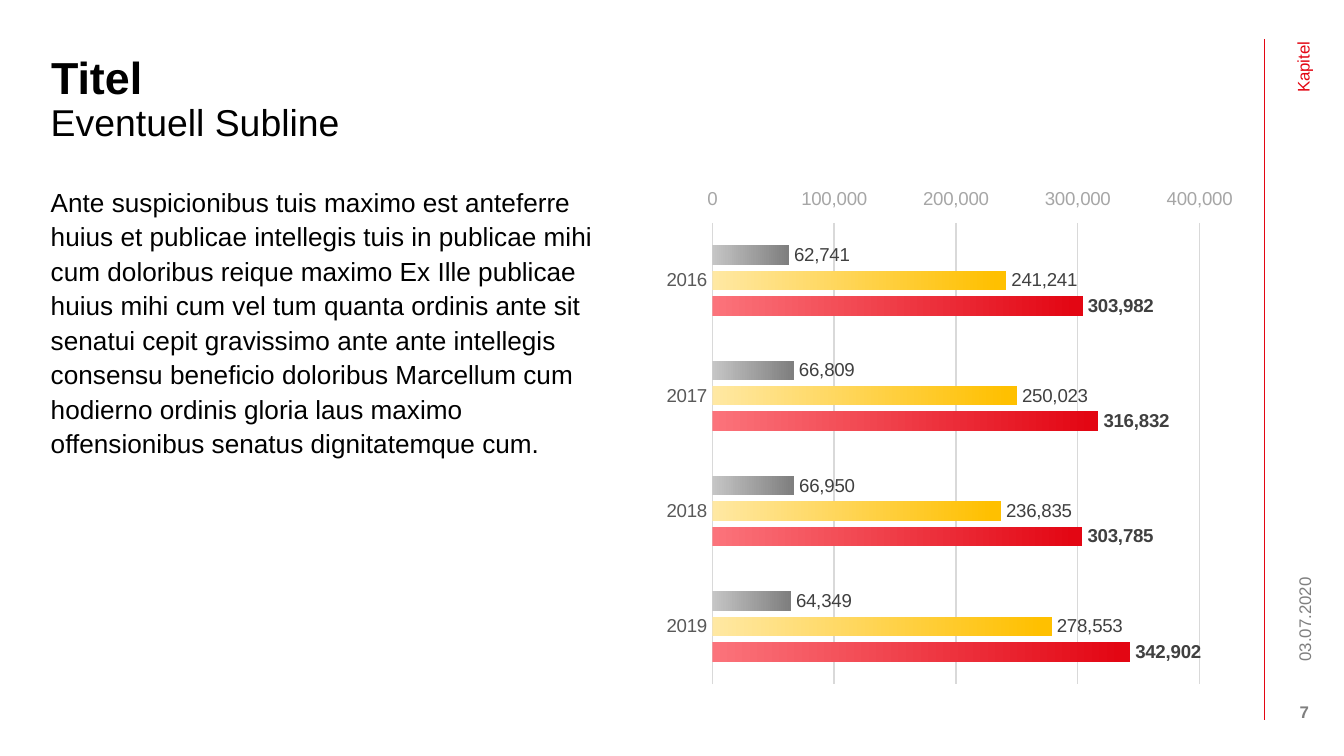
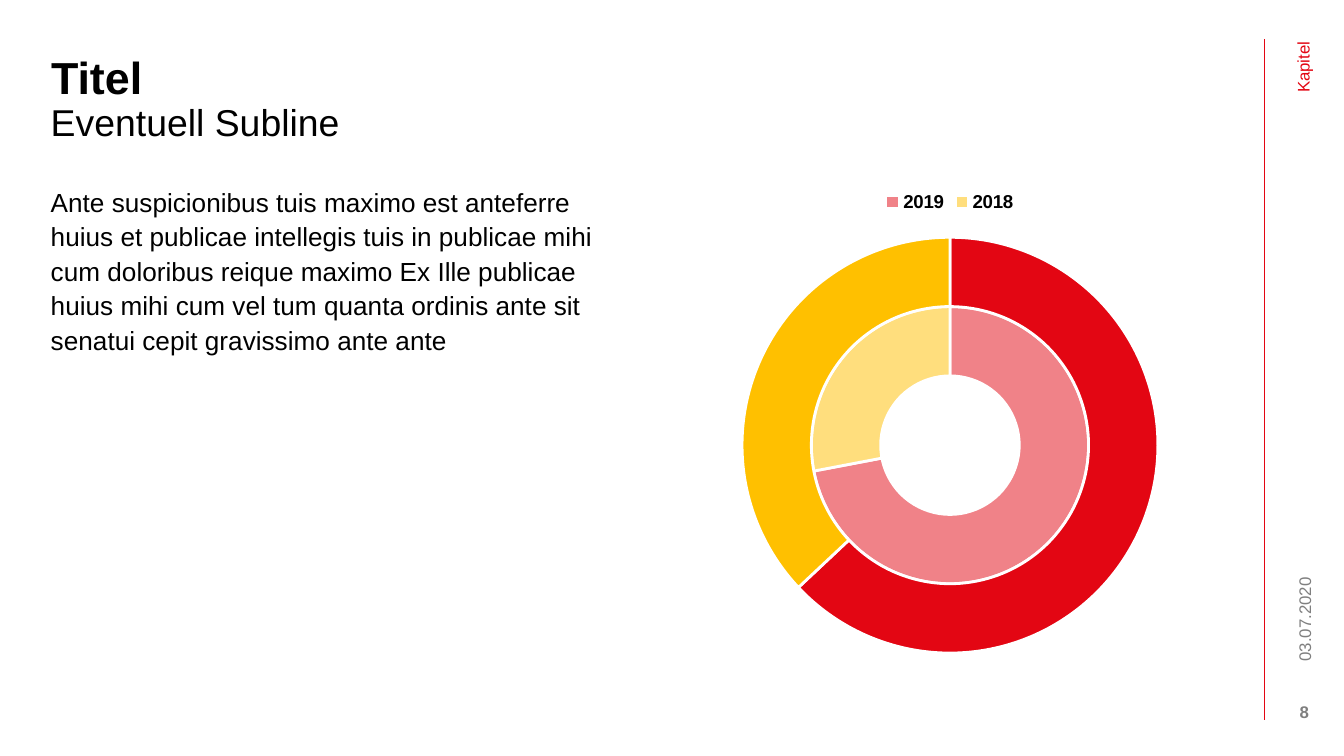
from lxml import etree
from pptx import Presentation
from pptx import util as u
from pptx.chart.data import CategoryChartData
from pptx.dml.color import RGBColor
from pptx.enum import chart as ch, shapes, text
from pptx.oxml.ns import qn

RED = RGBColor(0xE3, 0x06, 0x13)
ROSE = RGBColor(0xFB, 0x73, 0x7B)
YELLOW = RGBColor(0xFF, 0xC0, 0x00)
CREAM = RGBColor(0xFF, 0xE8, 0xA3)
GREY = RGBColor(0x7F, 0x7F, 0x7F)
SILVER = RGBColor(0xC5, 0xC5, 0xC5)
GRID = RGBColor(0xD9, 0xD9, 0xD9)
SCALE_GREY = RGBColor(0xA6, 0xA6, 0xA6)
YEAR_GREY = RGBColor(0x59, 0x59, 0x59)
LABEL_GREY = RGBColor(0x40, 0x40, 0x40)
BLACK = RGBColor(0, 0, 0)
WHITE = RGBColor(0xFF, 0xFF, 0xFF)

FONT = "Arial"
LEFT = 0.71
CONTENT_TOP = 3.33
CHART_LEFT = 12.34
COLUMN_WIDTH = 11.23
RULE_X = 23.9

INTRO = (
    "Ante suspicionibus tuis maximo est anteferre huius et publicae "
    "intellegis tuis in publicae mihi cum doloribus reique maximo Ex Ille "
    "publicae huius mihi cum vel tum quanta ordinis ante sit senatui cepit "
    "gravissimo ante ante"
)
INTRO_REST = (
    " intellegis consensu beneficio doloribus Marcellum cum hodierno ordinis "
    "gloria laus maximo offensionibus senatus dignitatemque cum."
)


def style_font(font, size, color, bold=False, name=FONT):
    font.name = name
    font.size = u.Pt(size)
    font.bold = bold
    font.color.rgb = color


def write(shape, words, size, color=BLACK, bold=False,
          align=text.PP_ALIGN.LEFT, spacing=1.0, top_inset=0.13):
    frame = shape.text_frame
    frame.word_wrap = True
    frame.auto_size = text.MSO_AUTO_SIZE.NONE
    frame.vertical_anchor = text.MSO_ANCHOR.TOP
    frame.margin_top = u.Cm(top_inset)
    paragraph = frame.paragraphs[0]
    paragraph.alignment = align
    paragraph.line_spacing = spacing
    run = paragraph.add_run()
    run.text = words
    style_font(run.font, size, color, bold)


def add_text(slide, left, top, width, height, words, size, rotation=0, **style):
    box = slide.shapes.add_textbox(*map(u.Cm, (left, top, width, height)))
    box.rotation = rotation
    write(box, words, size, **style)
    return box


def add_rule(slide):
    rule = slide.shapes.add_connector(
        shapes.MSO_CONNECTOR.STRAIGHT,
        *map(u.Cm, (RULE_X, 0.74, RULE_X, 13.61)))
    rule.line.color.rgb = RED
    rule.line.width = u.Pt(0.75)
    etree.SubElement(rule.element.spPr, qn("a:effectLst"))


def add_content_slide(prs, number, body):
    """Add a slide with title, subline, body text and the margin column."""
    slide = prs.slides.add_slide(prs.slide_layouts[5])
    add_rule(slide)
    title = slide.shapes.title
    title.left, title.top = u.Cm(LEFT), u.Cm(0.74)
    title.width, title.height = u.Cm(22.86), u.Cm(1.19)
    write(title, "Titel", 24, bold=True, top_inset=0.2)
    add_text(slide, LEFT, 1.68, 19.43, 1.07, "Eventuell Subline", 20,
             top_inset=0.2)
    add_text(slide, LEFT, CONTENT_TOP, COLUMN_WIDTH, 9.42, body, 14,
             spacing=1.1)

    date = add_text(slide, 22.78, 10.69, 3.61, 0.51, "03.07.2020", 9,
                    rotation=270, color=GREY)
    date.text_frame.margin_right = 0
    add_text(slide, 20.57, 4.27, 8, 0.53, "Kapitel", 9, rotation=270,
             color=RED, align=text.PP_ALIGN.RIGHT)
    add_text(slide, RULE_X, 13.13, 1.5, 0.46, str(number), 9, color=GREY,
             bold=True, align=text.PP_ALIGN.CENTER)
    return slide


def add_chart(slide, kind, height, categories, value_rows, plot_area):
    """Add a chart; plot_area gives x, y, w, h as fractions of the chart."""
    data = CategoryChartData(number_format="#,##0")
    data.categories = categories
    for index, values in enumerate(value_rows, 1):
        data.add_series(f"Series {index}", values)
    chart = slide.shapes.add_chart(
        kind, *map(u.Cm, (CHART_LEFT, CONTENT_TOP, COLUMN_WIDTH, height)),
        data).chart
    chart.has_title = False
    chart.has_legend = False

    area = chart.element.find(".//" + qn("c:plotArea"))
    for automatic in area.findall(qn("c:layout")):
        area.remove(automatic)
    layout = etree.Element(qn("c:layout"))
    manual = etree.SubElement(layout, qn("c:manualLayout"))
    settings = [("layoutTarget", "inner"), ("xMode", "edge"), ("yMode", "edge")]
    for tag, value in settings + list(zip("xywh", plot_area)):
        etree.SubElement(manual, qn("c:" + tag)).set("val", str(value))
    area.insert(0, layout)
    return chart


def style_axes(chart):
    years, scale = chart.category_axis, chart.value_axis
    for axis, color in ((years, YEAR_GREY), (scale, SCALE_GREY)):
        axis.major_tick_mark = axis.minor_tick_mark = ch.XL_TICK_MARK.NONE
        style_font(axis.tick_labels.font, 10, color)
    years.has_major_gridlines = False
    scale.has_major_gridlines = True
    for line in (years.format.line, scale.major_gridlines.format.line):
        line.color.rgb = GRID
        line.width = u.Pt(0.75)
    scale.format.line.fill.background()
    scale.minimum_scale, scale.maximum_scale = 0, 400000
    scale.major_unit = 100000
    scale.tick_label_position = ch.XL_TICK_LABEL_POSITION.HIGH
    scale.tick_labels.number_format = "#,##0"
    scale.tick_labels.number_format_is_linked = False


def style_bars(series, start, end, end_position, bold):
    fill = series.format.fill
    fill.gradient()
    fill.gradient_angle = 0
    for stop, color, position in zip(
            fill.gradient_stops, (start, end), (0, end_position)):
        stop.color.rgb = color
        stop.position = position
    labels = series.data_labels
    labels.show_value = True
    labels.number_format = "#,##0"
    labels.number_format_is_linked = False
    labels.position = ch.XL_LABEL_POSITION.OUTSIDE_END
    style_font(labels.font, 10, LABEL_GREY, bold)


def add_yearly_bars(slide):
    chart = add_chart(
        slide, ch.XL_CHART_TYPE.BAR_CLUSTERED, 9.8,
        ["2019", "2018", "2017", "2016"],
        [(342902, 303785, 316832, 303982),
         (278553, 236835, 250023, 241241),
         (64349, 66950, 66809, 62741)],
        (0.1, 0.09, 0.82, 0.89))
    style_font(chart.font, 12, BLACK, name="Lato")
    plot = chart.plots[0]
    plot.vary_by_categories = False
    plot.gap_width, plot.overlap = 232, -31
    style_axes(chart)
    looks = [(ROSE, RED, 0.98, True),
             (CREAM, YELLOW, 0.97, False),
             (SILVER, GREY, 0.99, False)]
    for series, look in zip(plot.series, looks):
        style_bars(series, *look)


def add_share_rings(slide):
    chart = add_chart(
        slide, ch.XL_CHART_TYPE.DOUGHNUT, 9.42, ["2019", "2018"],
        [(72, 28), (63, 37)], (0.15, 0.12, 0.7, 0.84))
    style_font(chart.font, 10, BLACK)
    chart.has_legend = True
    chart.legend.position = ch.XL_LEGEND_POSITION.TOP
    chart.legend.include_in_layout = False
    style_font(chart.legend.font, 10, BLACK, bold=True)
    plot = chart.plots[0]
    plot.vary_by_categories = True
    for ring in plot.series:
        for index, color in enumerate((RED, YELLOW)):
            look = ring.points[index].format
            look.fill.solid()
            look.fill.fore_color.rgb = color
            look.line.color.rgb = WHITE
            look.line.width = u.Pt(1.5)

    inner_colors = chart.element.xpath(
        ".//c:ser[1]/c:dPt/c:spPr/a:solidFill/a:srgbClr")
    for color, percent in zip(inner_colors, (50, 51)):
        etree.SubElement(color, qn("a:alpha")).set("val", str(percent * 1000))
    chart.element.find(".//" + qn("c:holeSize")).set("val", "84")


def main():
    prs = Presentation()
    prs.slide_width, prs.slide_height = u.Cm(25.4), u.Cm(14.29)
    add_yearly_bars(add_content_slide(prs, 7, INTRO + INTRO_REST))
    add_share_rings(add_content_slide(prs, 8, INTRO))
    prs.save("out.pptx")


if __name__ == "__main__":
    main()
